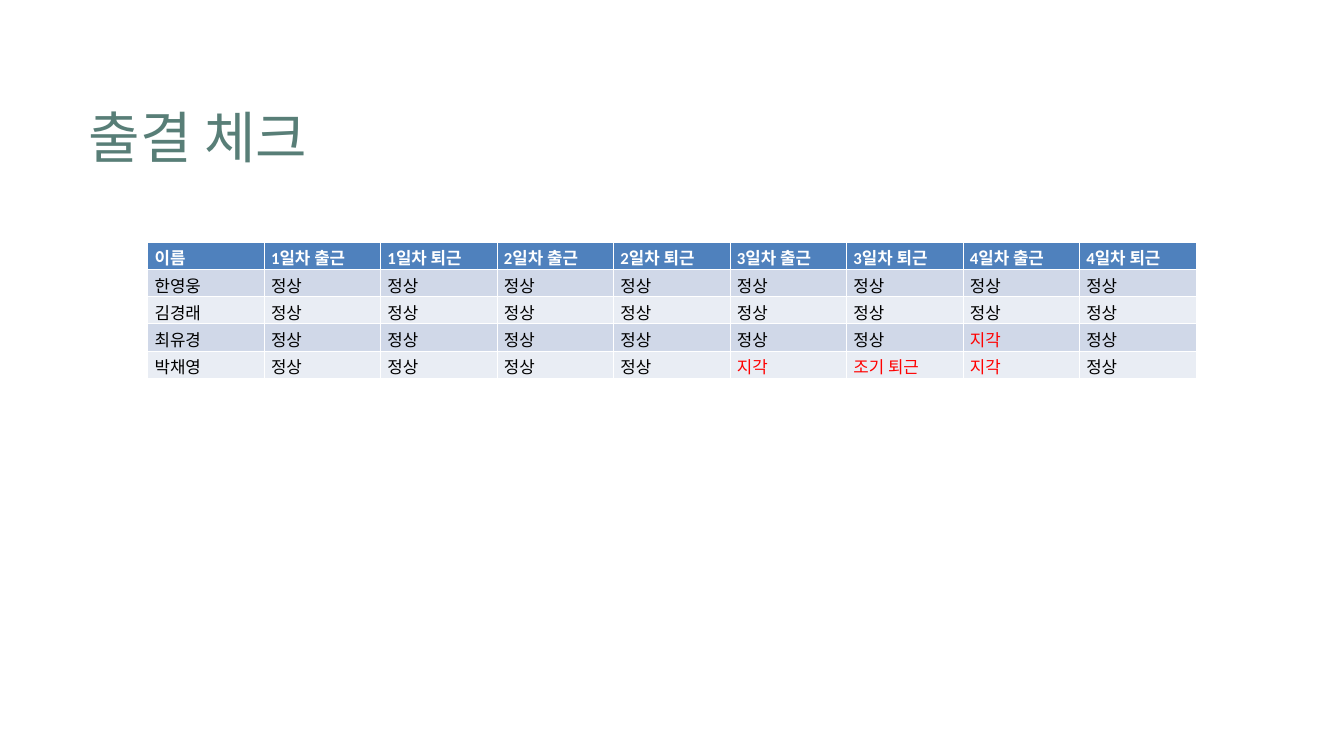
from pptx import Presentation
from pptx.dml.color import RGBColor
from pptx.enum import text
from pptx.util import Inches, Pt

COLORS = {
    "title": "587E77",
    "header": "4F81BD",
    "odd": "D0D8E8",
    "even": "E9EDF4",
    "white": "FFFFFF",
    "black": "000000",
    "alert": "FF0000",
}
DAYS = 4
NORMAL = "정상"
EXCEPTIONS = {
    "한영웅": {},
    "김경래": {},
    "최유경": {"4일차 출근": "지각"},
    "박채영": {"3일차 출근": "지각", "3일차 퇴근": "조기 퇴근", "4일차 출근": "지각"},
}


def add_span(para, words, size, color, bold=False):
    span = para.add_run()
    span.text = words
    span.font.name = "Calibri"
    span.font.size = Pt(size)
    span.font.bold = bold
    span.font.color.rgb = RGBColor.from_string(COLORS[color])


deck = Presentation()
deck.slide_width = Inches(20)
deck.slide_height = Inches(11.25)
page = deck.slides.add_slide(deck.slide_layouts[6])

title_box = page.shapes.add_textbox(Inches(1.32), Inches(1.36), Inches(8.25), Inches(1.17))
frame = title_box.text_frame
frame.word_wrap = True
frame.vertical_anchor = text.MSO_ANCHOR.MIDDLE
frame.margin_left = frame.margin_right = frame.margin_top = frame.margin_bottom = 0
title = frame.paragraphs[0]
title.line_spacing = 1.16
add_span(title, "출결 체크", 60, "title")

checks = [f"{day}일차 {kind}" for day in range(1, DAYS + 1) for kind in ("출근", "퇴근")]
rows = [["이름", *checks]]
for name, marks in EXCEPTIONS.items():
    rows.append([name, *(marks.get(check, NORMAL) for check in checks)])

attendance = page.shapes.add_table(
    len(rows), len(rows[0]), Inches(2.2), Inches(3.6), Inches(15.6), Inches(2.03)
).table

for row_index, row in enumerate(rows):
    is_header = row_index == 0
    fill = "header" if is_header else "odd" if row_index % 2 else "even"
    for column_index, words in enumerate(row):
        cell = attendance.cell(row_index, column_index)
        cell.fill.solid()
        cell.fill.fore_color.rgb = RGBColor.from_string(COLORS[fill])
        if is_header:
            color = "white"
        elif column_index and words != NORMAL:
            color = "alert"
        else:
            color = "black"
        add_span(cell.text_frame.paragraphs[0], words, 18, color, is_header)

deck.save("out.pptx")
